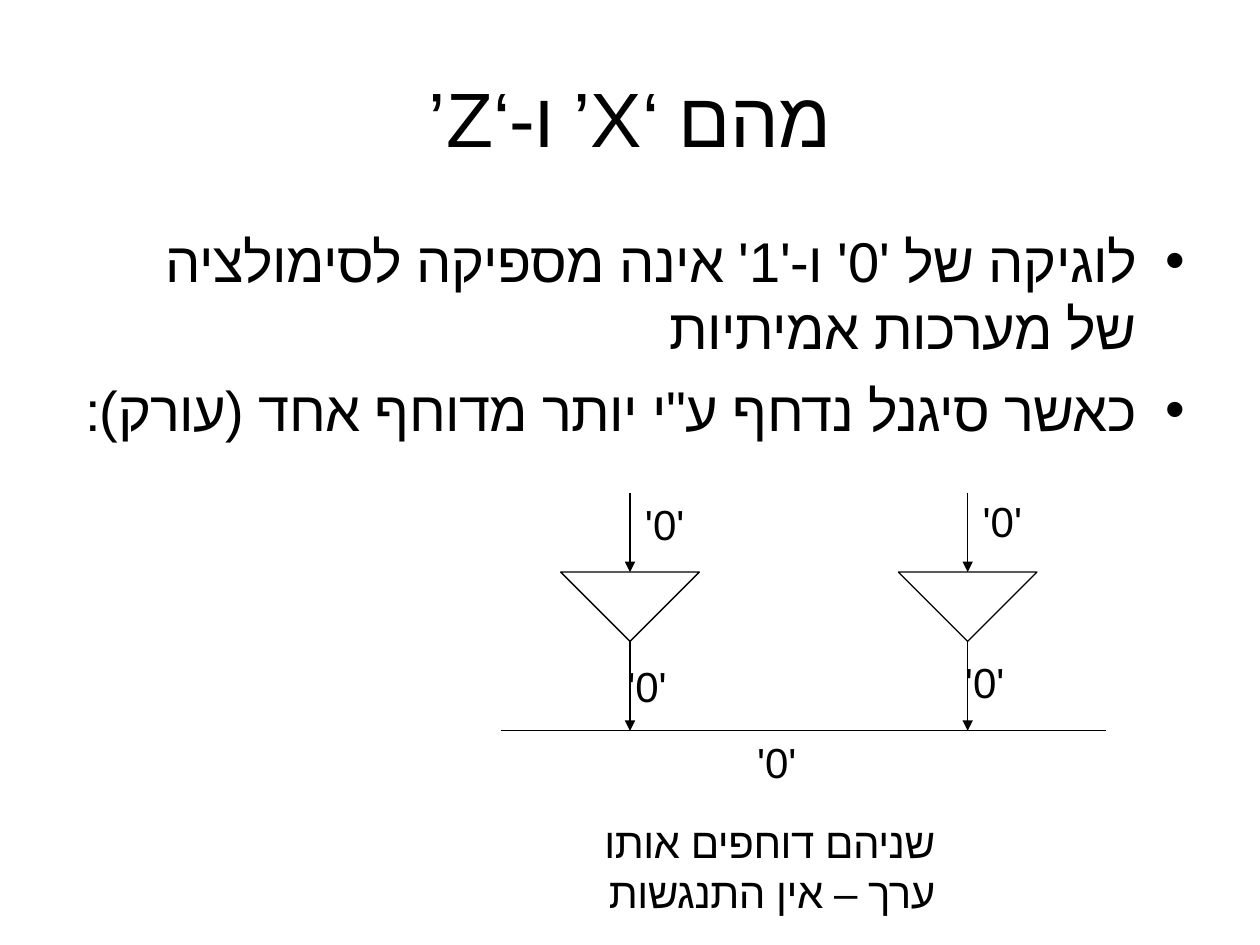
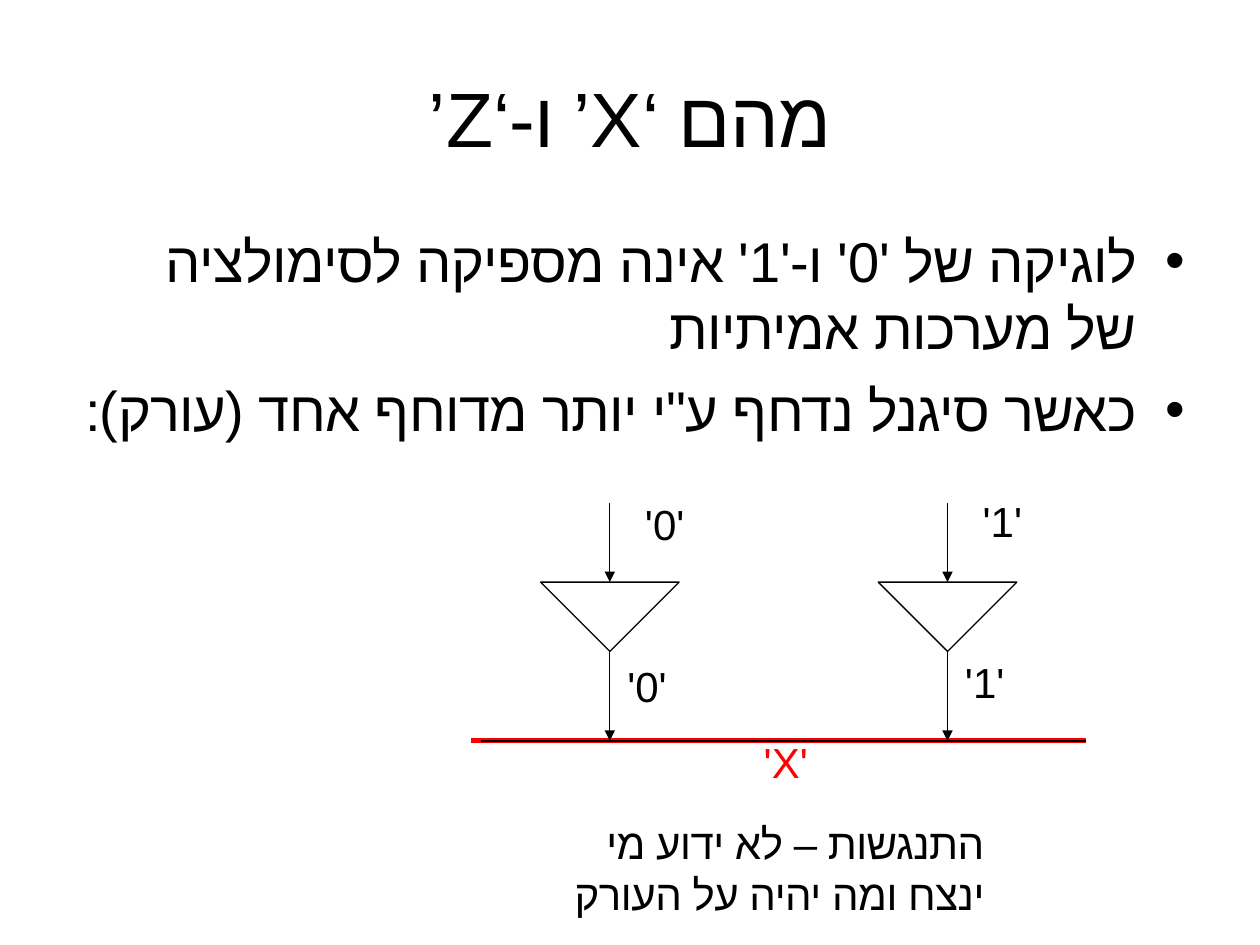
import lxml.etree
import pptx
import pptx.dml.color
import pptx.enum.shapes
import pptx.enum.text
import pptx.oxml.ns
import pptx.util

Inches = pptx.util.Inches
Pt = pptx.util.Pt
ALIGN = pptx.enum.text.PP_ALIGN
ANCHOR = pptx.enum.text.MSO_ANCHOR
SHAPE = pptx.enum.shapes.MSO_SHAPE
STRAIGHT = pptx.enum.shapes.MSO_CONNECTOR.STRAIGHT

# Shared style
COLORS = {"ink": "000000", "clash": "FF0000"}
FONT = "Arial"
TIGHT = -1.2            # letter spacing, in hundredths of the text size
HANG = 0.38
TITLE = "מהם ‘X’ ו-‘Z’"
POINTS = [
    "לוגיקה של '0' ו-'1' אינה מספיקה לסימולציה\nשל מערכות אמיתיות",
    "כאשר סיגנל נדחף ע\"י יותר מדוחף אחד (עורק):",
]

# Circuit layout
PITCH = 2.68            # from one driver to the next
GATE_W, GATE_H = 1.1, 0.55
LEAD_IN, LEAD_OUT = 0.63, 0.71
DROP = LEAD_IN + GATE_H + LEAD_OUT
LABEL_X, IN_Y, OUT_Y = 4.98, 3.91, 5.19
OUT_SHIFT = -0.14       # output labels sit left of input labels
LABEL_RISE = 0.03       # each next label sits a little higher

CASES = [
    {"left": 5, "top": 3.91, "bits": ["'0'", "'0'"], "wire": "'0'",
     "color": "ink", "wide": 0.55,
     "note": "שניהם דוחפים אותו\nערך – אין התנגשות", "box": (4.49, 6.43, 3.03, 0.9)},
    {"left": 4.84, "top": 3.99, "bits": ["'0'", "'1'"], "wire": "'X'",
     "color": "clash", "wide": 0.64,
     "note": "התנגשות – לא ידוע מי\nינצח ומה יהיה על העורק", "box": (4.29, 6.44, 3.62, 0.9)},
]


def tint(key):
    return pptx.dml.color.RGBColor.from_string(COLORS[key])


def add_xml(node, tag, **attrs):
    return lxml.etree.SubElement(node, pptx.oxml.ns.qn(tag), **attrs)


def add_run(para, text, size, color):
    run = para.add_run()
    run.text = text
    run.font.size = Pt(size)
    run.font.name = FONT
    run.font.color.rgb = tint(color)
    props = run.font._element
    props.set("spc", str(round(TIGHT * size)))
    add_xml(props, "a:cs", typeface=FONT)


def add_text(slide, box, paras, size, color="ink", align=ALIGN.RIGHT,
             anchor=ANCHOR.TOP, bullet=False):
    """Add right-to-left paragraphs; a newline breaks a line within one."""
    frame = slide.shapes.add_textbox(*map(Inches, box)).text_frame
    frame.word_wrap = True
    frame.vertical_anchor = anchor
    for i, text in enumerate(paras):
        para = frame.paragraphs[0] if i == 0 else frame.add_paragraph()
        para.alignment = align
        props = para._p.get_or_add_pPr()
        props.set("rtl", "1")
        if bullet:
            para.space_before = Pt(8)
            props.set("marL", str(Inches(HANG)))
            props.set("indent", str(-Inches(HANG)))
            add_xml(props, "a:buFont", typeface=FONT)
            add_xml(props, "a:buChar", char="•")
        for j, line in enumerate(text.split("\n")):
            if j:
                para.add_line_break()
            add_run(para, line, size, color)


def add_line(slide, start, end, color="ink", width=0.75, arrow=False):
    ends = map(Inches, (*start, *end))
    line = slide.shapes.add_connector(STRAIGHT, *ends)
    line.line.color.rgb = tint(color)
    line.line.width = Pt(width)
    props = line._element.spPr
    if arrow:
        add_xml(props.get_or_add_ln(), "a:tailEnd", type="triangle")
    add_xml(props, "a:effectLst")


def add_gate(slide, x, top):
    """Add a driver centred on x, with an arrow in and an arrow out."""
    head = top + LEAD_IN
    tip = head + GATE_H
    box = (x - GATE_W / 2, head, GATE_W, GATE_H)
    gate = slide.shapes.add_shape(SHAPE.ISOSCELES_TRIANGLE, *map(Inches, box))
    gate.rotation = 180
    gate.shadow.inherit = False
    gate.fill.background()
    gate.line.color.rgb = tint("ink")
    gate.line.width = Pt(0.75)
    add_line(slide, (x, top), (x, head), arrow=True)
    add_line(slide, (x, tip), (x, top + DROP), arrow=True)


def add_label(slide, x, y, text, color="ink", wide=0.55):
    add_text(slide, (x, y, wide, 0.5), [text], 24, color)


def add_case(deck, case):
    slide = deck.slides.add_slide(deck.slide_layouts[6])
    left, top = case["left"], case["top"]
    wire = top + DROP

    # Title and points
    add_text(slide, (0.5, 0.3, 9, 1.25), [TITLE], 44,
             align=ALIGN.CENTER, anchor=ANCHOR.MIDDLE)
    add_text(slide, (0.3, 1.75, 9.2, 4.95), POINTS, 32, bullet=True)

    # Shared wire, with a thick band where values clash
    if case["color"] == "clash":
        add_line(slide, (left - 1.1, wire), (left + 3.78, wire), "clash", 3)
    add_line(slide, (left - 1.02, wire), (left + 3.78, wire))

    # Drivers and their values
    for i, bit in enumerate(case["bits"]):
        step = i * PITCH
        rise = i * LABEL_RISE
        add_gate(slide, left + step, top)
        add_label(slide, LABEL_X + step, IN_Y - rise, bit)
        add_label(slide, LABEL_X + OUT_SHIFT + step, OUT_Y - rise, bit)

    # Value on the wire and what it means
    add_label(slide, 5.87, 5.8, case["wire"], case["color"], case["wide"])
    add_text(slide, case["box"], [case["note"]], 24)


def main():
    deck = pptx.Presentation()
    deck.slide_width, deck.slide_height = Inches(10), Inches(7.5)
    for case in CASES:
        add_case(deck, case)
    deck.save("out.pptx")


if __name__ == "__main__":
    main()
